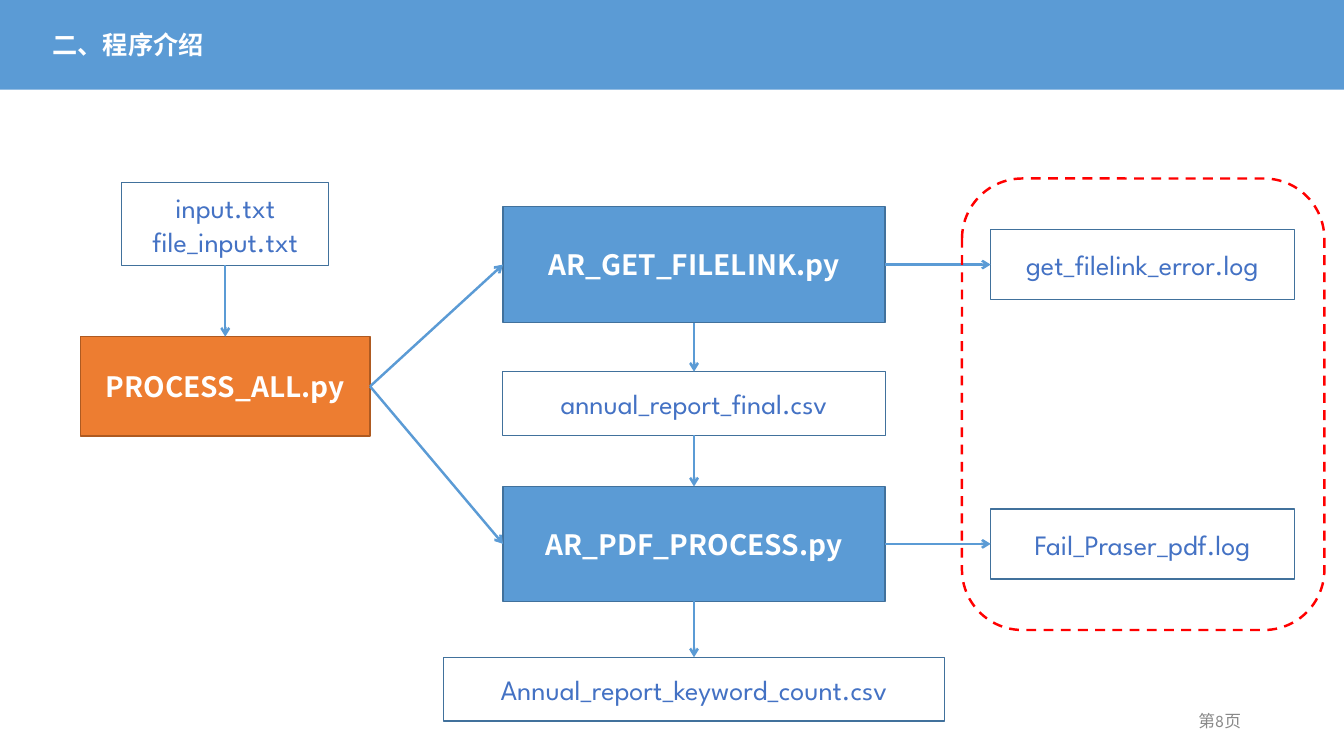
from lxml import etree
from pptx import Presentation
from pptx.dml.color import RGBColor
from pptx.enum.dml import MSO_LINE
from pptx.enum.shapes import MSO_CONNECTOR, MSO_SHAPE
from pptx.enum.text import MSO_ANCHOR, PP_ALIGN
from pptx.oxml.ns import qn
from pptx.util import Pt

RECTANGLE, ROUNDED = MSO_SHAPE.RECTANGLE, MSO_SHAPE.ROUNDED_RECTANGLE
STRAIGHT, DASH = MSO_CONNECTOR.STRAIGHT, MSO_LINE.DASH
LEFT, CENTER, RIGHT = PP_ALIGN.LEFT, PP_ALIGN.CENTER, PP_ALIGN.RIGHT
TOP_ANCHOR, MIDDLE = MSO_ANCHOR.TOP, MSO_ANCHOR.MIDDLE
TOP_SIDE, LEFT_SIDE, BOTTOM_SIDE, RIGHT_SIDE = range(4)

BLUE = RGBColor(0x5B, 0x9B, 0xD5)
BLUE_EDGE = RGBColor(0x41, 0x71, 0x9C)
ORANGE = RGBColor(0xED, 0x7D, 0x31)
ORANGE_EDGE = RGBColor(0xAE, 0x5A, 0x21)
FILE_TEXT = RGBColor(0x44, 0x72, 0xC4)
WHITE = RGBColor(0xFF, 0xFF, 0xFF)
GREY = RGBColor(0x89, 0x89, 0x89)
RED = RGBColor(0xFF, 0x00, 0x00)

FILE_FONT = "League Spartan"
SCRIPT_FONT = "Noto Sans CJK JP"
CHINESE_FONT = "Noto Sans CJK SC"


def write(frame, text, font, size, color, align, bold=False, anchor=MIDDLE):
    frame.text = text
    frame.word_wrap = True
    frame.vertical_anchor = anchor
    for paragraph in frame.paragraphs:
        paragraph.alignment = align
        for run in paragraph.runs:
            run.font.name = font
            run.font.size = Pt(size)
            run.font.bold = bold
            run.font.color.rgb = color
            east_asian = etree.SubElement(run.font._element, qn("a:ea"))
            east_asian.set("typeface", CHINESE_FONT)


def add_block(slide, box, fill=None, edge=None, width=1, preset=RECTANGLE):
    block = slide.shapes.add_shape(preset, *map(Pt, box))
    block.shadow.inherit = False
    if fill is None:
        block.fill.background()
    else:
        block.fill.solid()
        block.fill.fore_color.rgb = fill
    if edge is None:
        block.line.fill.background()
    else:
        block.line.color.rgb = edge
        block.line.width = Pt(width)
    return block


def add_script(slide, box, name, fill=BLUE, edge=BLUE_EDGE):
    script = add_block(slide, box, fill, edge)
    write(script.text_frame, name, SCRIPT_FONT, 20, WHITE, CENTER, bold=True)
    return script


def add_file(slide, box, name):
    data_file = add_block(slide, box, edge=BLUE_EDGE)
    write(data_file.text_frame, name, FILE_FONT, 20, FILE_TEXT, CENTER)
    return data_file


def add_arrow(slide, source, source_side, target, target_side):
    arrow = slide.shapes.add_connector(STRAIGHT, 0, 0, 0, 0)
    arrow.begin_connect(source, source_side)
    arrow.end_connect(target, target_side)
    arrow.line.color.rgb = BLUE
    arrow.line.width = Pt(1.75)
    etree.SubElement(arrow.line._get_or_add_ln(), qn("a:tailEnd")).set("type", "arrow")
    etree.SubElement(arrow._element.spPr, qn("a:effectLst"))


def add_header(slide, box):
    left, top, width, height = box
    banner = add_block(slide, box, BLUE)
    title = slide.shapes.title
    banner._element.addnext(title._element)  # keeps the title in front
    title.left, title.top = Pt(left + 11.5), Pt(top + 18.5)
    title.width, title.height = Pt(623), Pt(29)
    frame = title.text_frame
    frame.margin_left = frame.margin_right = Pt(28)
    frame.margin_top = frame.margin_bottom = Pt(3.6)
    write(frame, "二、程序介绍", CHINESE_FONT, 18, WHITE, LEFT, True, TOP_ANCHOR)


def add_workflow(slide, box):
    """Place the scripts and files in three columns, joined by arrows."""
    left, top, width, height = box
    entry_x, main_x = left + 103.5, left + 438.5
    log_x = left + width - 108.5

    def centred(x, y, block_width, block_height):
        return x - block_width / 2, top + y, block_width, block_height

    inputs = add_file(slide, centred(entry_x, 0, 148, 59), "input.txt\nfile_input.txt")
    process_all = add_script(slide, centred(entry_x, 110, 207, 71),
                             "PROCESS_ALL.py", ORANGE, ORANGE_EDGE)
    get_filelink = add_script(slide, centred(main_x, 17, 273, 83), "AR_GET_FILELINK.py")
    report = add_file(slide, centred(main_x, 135, 274, 45.5), "annual_report_final.csv")
    pdf_process = add_script(slide, centred(main_x, 217, 273, 82), "AR_PDF_PROCESS.py")
    keyword_count = add_file(slide, centred(main_x, 339, 358, 45.5),
                             "Annual_report_keyword_count.csv")
    link_log = add_file(slide, centred(log_x, 33.5, 217, 50), "get_filelink_error.log")
    pdf_log = add_file(slide, centred(log_x, 233, 217, 50), "Fail_Praser_pdf.log")

    for source, target in ((inputs, process_all), (get_filelink, report),
                           (report, pdf_process), (pdf_process, keyword_count)):
        add_arrow(slide, source, BOTTOM_SIDE, target, TOP_SIDE)
    for source, target in ((process_all, get_filelink), (process_all, pdf_process),
                           (get_filelink, link_log), (pdf_process, pdf_log)):
        add_arrow(slide, source, RIGHT_SIDE, target, LEFT_SIDE)


def add_log_frame(slide, box):
    log_frame = add_block(slide, box, edge=RED, width=1.75, preset=ROUNDED)
    log_frame.line.dash_style = DASH


def add_page_number(slide, box):
    page_number = slide.shapes.add_textbox(*map(Pt, box))
    write(page_number.text_frame, "第8页", FILE_FONT, 12, GREY, RIGHT)


def main():
    deck = Presentation()
    deck.slide_width, deck.slide_height = Pt(960.5), Pt(540)
    title_only = deck.slide_layouts[5]
    slide = deck.slides.add_slide(title_only)
    add_header(slide, (-2, -1.5, 962.5, 65.5))
    add_workflow(slide, (57.5, 130.5, 867.5, 384.5))
    add_log_frame(slide, (687.5, 127.5, 259, 322.5))
    add_page_number(slide, (678, 500.5, 216, 29))
    deck.save("out.pptx")


if __name__ == "__main__":
    main()
